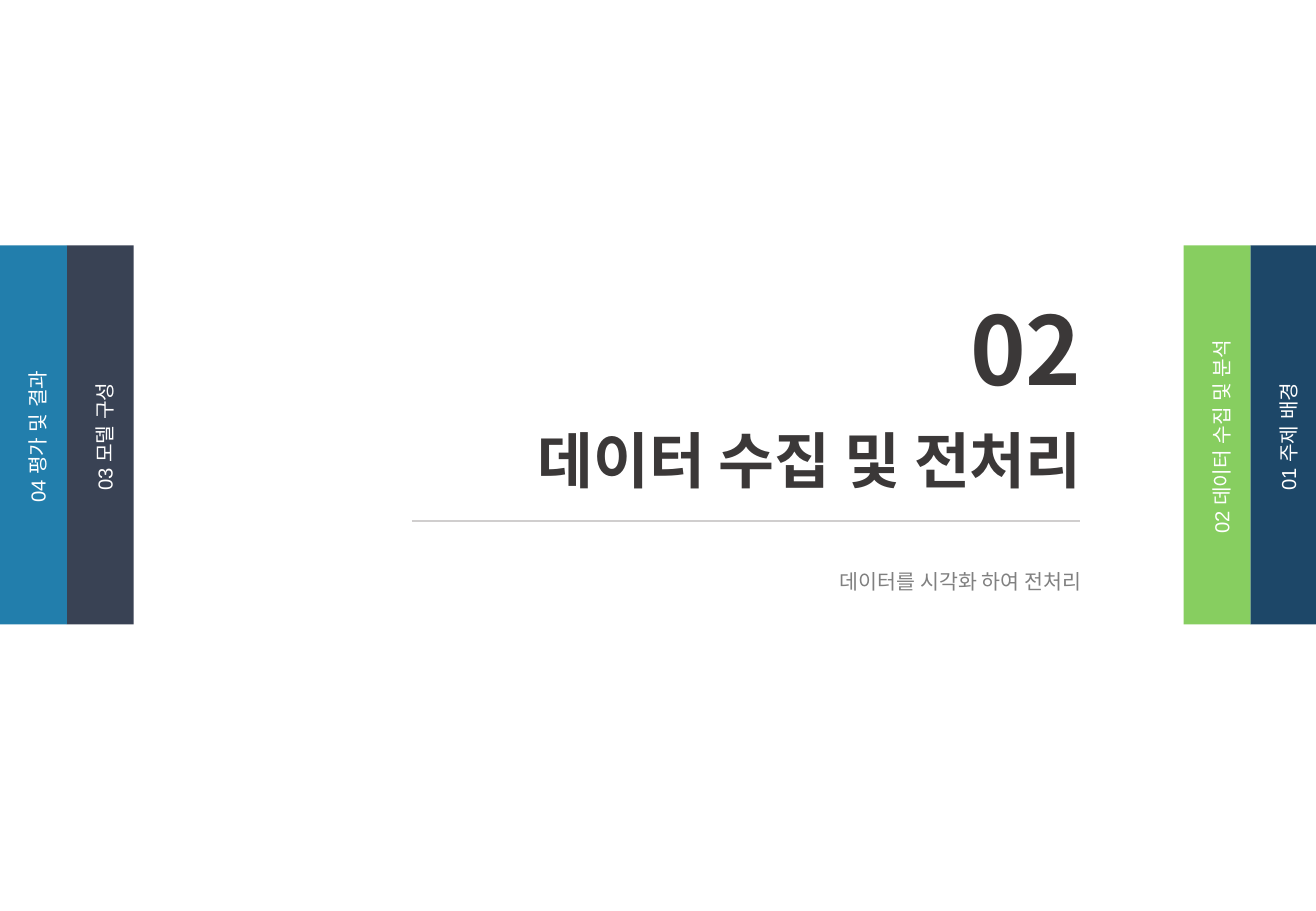
"""Build a section title slide with coloured chapter tabs on both sides."""
from dataclasses import dataclass

from lxml.etree import SubElement
from pptx import Presentation
from pptx.dml.color import RGBColor
from pptx.enum.shapes import MSO_CONNECTOR, MSO_SHAPE
from pptx.enum.text import PP_ALIGN
from pptx.oxml.ns import qn
from pptx.slide import Slide
from pptx.util import Inches, Pt


@dataclass(frozen=True)
class Theme:
    """Hold the fonts, colours and type sizes."""
    sans: str = "Noto Sans CJK KR"
    plain: str = "Arial"
    dark: str = "3B3838"
    gray: str = "808080"
    rule: str = "D0CECE"
    white: str = "FFFFFF"
    navy: str = "1D4768"
    green: str = "87CE60"
    slate: str = "394254"
    blue: str = "227EAC"
    huge: float = 56
    large: float = 36
    small: float = 12.2
    tab: float = 12


@dataclass(frozen=True)
class Label:
    """Describe one line of text and its box."""
    text: str
    box: tuple[float, float, float, float]
    size: float
    lead: float
    color: str
    font: str
    bold: bool = False
    wrap: bool = True
    align: PP_ALIGN = PP_ALIGN.RIGHT
    turn: float = 0


@dataclass(frozen=True)
class Tab:
    """Describe one chapter tab."""
    text: str
    left: float
    color: str


THEME = Theme()
WIDTH, HEIGHT = 10.83, 7.5
TAB_W, TAB_H, TAB_TOP = 0.55, 3.12, 2.02
TEXT_W, TEXT_H, TEXT_TOP = 3.1, 0.37, 3.41
TABS = [
    Tab("01 주제 배경", 10.29, THEME.navy),
    Tab("02 데이터 수집 및 분석", 9.74, THEME.green),
    Tab("03 모델 구성", TAB_W, THEME.slate),
    Tab("04 평가 및 결과", 0, THEME.blue),
]
LABELS = [
    Label("데이터를 시각화 하여 전처리", (3.58, 4.56, 5.42, 0.57),
          THEME.small, 20, THEME.gray, THEME.sans),
    Label("데이터 수집 및 전처리", (2.95, 3.28, 6.05, 0.85),
          THEME.large, 54, THEME.dark, THEME.sans, True, False),
    Label("02", (7.74, 2.53, 1.26, 0.85),
          THEME.huge, 54, THEME.dark, THEME.sans, True, False),
]


def apply(item: object, form: dict[str, object]) -> None:
    """Set each format value on the item."""
    for name, value in form.items():
        setattr(item, name, value)


def add_label(slide: Slide, label: Label) -> None:
    """Draw one line of text."""
    box = slide.shapes.add_textbox(*map(Inches, label.box))
    box.rotation = label.turn
    box.text_frame.word_wrap = label.wrap
    para = box.text_frame.paragraphs[0]
    apply(para, {"alignment": label.align, "line_spacing": Pt(label.lead)})
    run = para.add_run()
    run.text = label.text
    apply(run.font, {"name": label.font, "size": Pt(label.size), "bold": label.bold})
    run.font.color.rgb = RGBColor.from_string(label.color)
    SubElement(run.font._element, qn("a:ea"), typeface=label.font)


def add_tab(slide: Slide, tab: Tab) -> None:
    """Draw a coloured tab with its turned text."""
    box = map(Inches, (tab.left, TAB_TOP, TAB_W, TAB_H))
    bar = slide.shapes.add_shape(MSO_SHAPE.RECTANGLE, *box)
    bar.shadow.inherit = False
    bar.fill.solid()
    bar.fill.fore_color.rgb = RGBColor.from_string(tab.color)
    bar.line.fill.background()
    left = tab.left + (TAB_W - TEXT_W) / 2
    add_label(slide, Label(tab.text, (left, TEXT_TOP, TEXT_W, TEXT_H), THEME.tab, 19.5,
                           THEME.white, THEME.plain, align=PP_ALIGN.CENTER, turn=270))


def add_rule(slide: Slide) -> None:
    """Draw the thin line below the title."""
    ends = map(Inches, (3.39, 4.29, 8.89, 4.29))
    rule = slide.shapes.add_connector(MSO_CONNECTOR.STRAIGHT, *ends)
    rule.line.color.rgb = RGBColor.from_string(THEME.rule)
    rule.line.width = Pt(1.25)
    SubElement(rule._element.spPr, qn("a:effectLst"))


def main() -> None:
    """Build and save the slide."""
    deck = Presentation()
    apply(deck, {"slide_width": Inches(WIDTH), "slide_height": Inches(HEIGHT)})
    slide = deck.slides.add_slide(deck.slide_layouts[6])
    add_rule(slide)
    for tab in TABS:
        add_tab(slide, tab)
    for label in LABELS:
        add_label(slide, label)
    deck.save("out.pptx")


if __name__ == "__main__":
    main()
